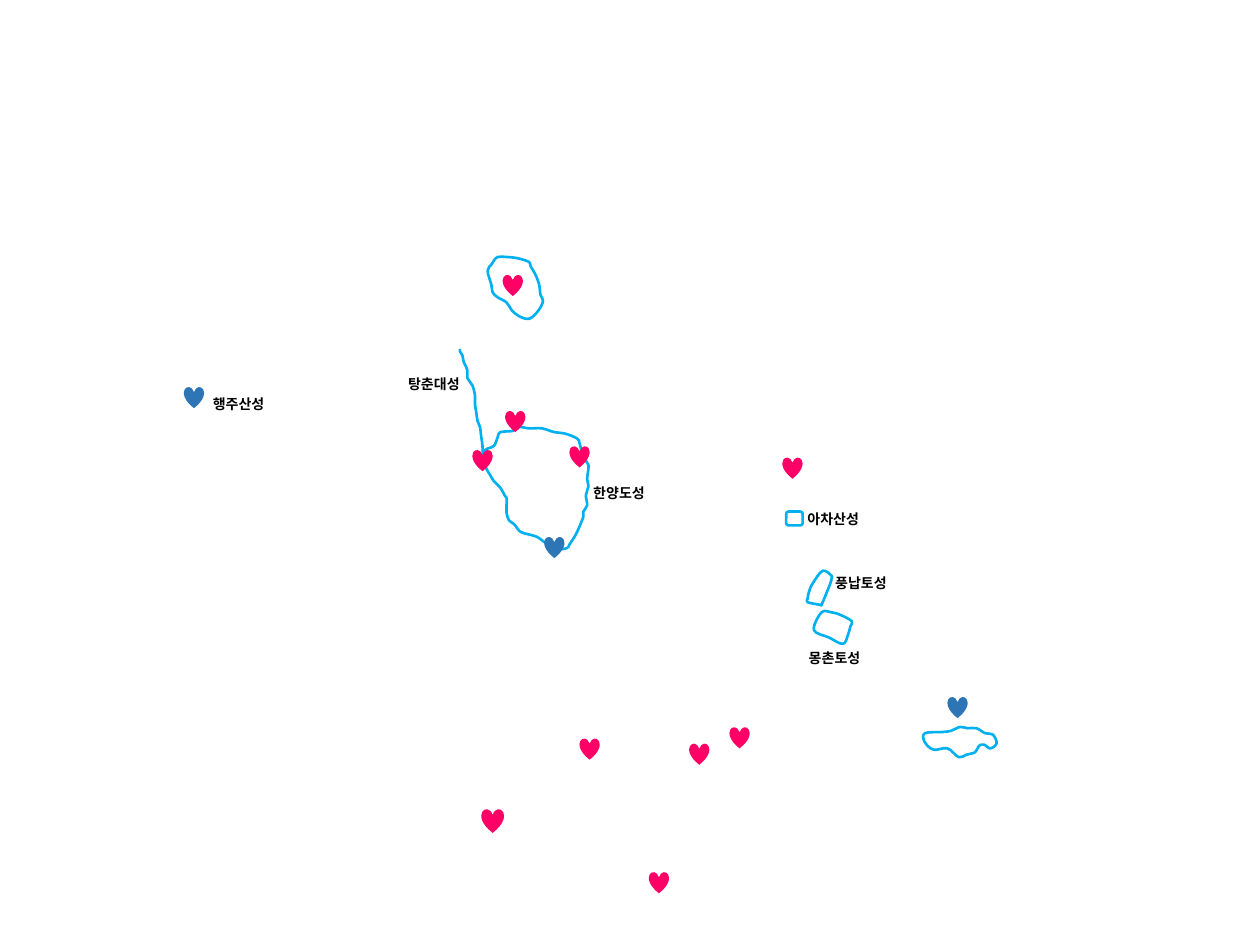
from lxml import etree
from pptx import Presentation
from pptx.dml.color import RGBColor
from pptx.enum.shapes import MSO_SHAPE
from pptx.enum.text import MSO_AUTO_SIZE
from pptx.oxml.ns import qn
from pptx.util import Inches, Pt

PINK, BLUE, WALL, INK = "FF0066", "2E75B6", "00B0F0", "000000"
FONT = "Calibri"

HANYANG = [
    (4.07, 3.42), (3.97, 3.43), (3.95, 3.47), (3.92, 3.54), (3.87, 3.56),
    (3.83, 3.6), (3.85, 3.69), (3.86, 3.72), (3.89, 3.77), (3.92, 3.82),
    (3.97, 3.87), (4.01, 3.94), (4.02, 3.95), (4.02, 4.02), (4.02, 4.07),
    (4.04, 4.13), (4.08, 4.16), (4.13, 4.22), (4.19, 4.24), (4.26, 4.26),
    (4.33, 4.31), (4.37, 4.34), (4.42, 4.36), (4.5, 4.35), (4.52, 4.32),
    (4.56, 4.26), (4.59, 4.2), (4.63, 4.1), (4.63, 4.06), (4.66, 4.01),
    (4.65, 3.93), (4.67, 3.86), (4.66, 3.8), (4.67, 3.69), (4.63, 3.63),
    (4.6, 3.52), (4.58, 3.48), (4.48, 3.44), (4.4, 3.43), (4.3, 3.4),
    (4.2, 3.4), (4.12, 3.39),
]
NORTH_FORTRESS = [
    (4.25, 2.18), (4.28, 2.26), (4.29, 2.34), (4.31, 2.39), (4.27, 2.47),
    (4.2, 2.53), (4.12, 2.51), (4.06, 2.46), (4.02, 2.4), (3.95, 2.36),
    (3.91, 2.32), (3.9, 2.26), (3.87, 2.15), (3.9, 2.1), (3.92, 2.07),
    (3.95, 2.04), (4.02, 2.04), (4.11, 2.05), (4.2, 2.08), (4.21, 2.11),
]
SOUTH_FORTRESS = [
    (7.67, 5.99), (7.74, 5.97), (7.77, 5.92), (7.81, 5.91), (7.86, 5.94),
    (7.91, 5.9), (7.88, 5.83), (7.82, 5.82), (7.75, 5.78), (7.68, 5.78),
    (7.62, 5.77), (7.55, 5.8), (7.48, 5.81), (7.34, 5.82), (7.34, 5.89),
    (7.41, 5.95), (7.52, 5.94), (7.61, 6.01),
]
TANGCHUNDAE = [
    (3.83, 3.64), (3.83, 3.54), (3.82, 3.47), (3.81, 3.39), (3.79, 3.34),
    (3.78, 3.27), (3.77, 3.21), (3.77, 3.14), (3.75, 3.06), (3.71, 3),
    (3.71, 2.94), (3.68, 2.87), (3.67, 2.82), (3.65, 2.79), (3.65, 2.77),
]
MONGCHON = [
    (6.52, 4.86), (6.46, 5), (6.58, 5.06), (6.69, 5.11), (6.73, 5.04),
    (6.75, 4.97), (6.76, 4.93), (6.67, 4.88), (6.6, 4.86),
]
PUNGNAP = [
    (6.53, 4.53), (6.45, 4.63), (6.42, 4.7), (6.41, 4.75), (6.41, 4.78),
    (6.51, 4.8), (6.52, 4.8), (6.55, 4.73), (6.59, 4.63), (6.6, 4.59),
    (6.6, 4.57),
]
CLOSED_WALLS = [HANYANG, NORTH_FORTRESS, SOUTH_FORTRESS, MONGCHON, PUNGNAP]

PINK_HEARTS = [
    (5.47, 5.9), (5.79, 5.77), (4.6, 5.86), (3.99, 2.18), (4.01, 3.26),
    (4.52, 3.54), (6.21, 3.63), (5.15, 6.92), (3.75, 3.57),
]
BLUE_HEARTS = [(7.52, 5.53), (1.46, 3.07), (4.32, 4.26)]
LABELS = [
    ("몽촌토성", 6.32, 5.11), ("풍납토성", 6.53, 4.51), ("아차산성", 6.31, 4),
    ("탕춘대성", 3.14, 2.93), ("한양도성", 4.61, 3.8), ("행주산성", 1.59, 3.09),
]


def rgb(hex_color):
    return RGBColor.from_string(hex_color)


def curve_points(points, closed):
    """Return two control points and an end point for each smooth segment."""
    if closed:
        pts = [points[-1], *points, *points[:2]]
    else:
        pts = [points[0], *points, points[-1]]
    curve = []
    for a, b, c, d in zip(pts, pts[1:], pts[2:], pts[3:]):
        curve.append(tuple(q + (r - p) / 6 for p, q, r in zip(a, b, c)))
        curve.append(tuple(r - (s - q) / 6 for q, r, s in zip(b, c, d)))
        curve.append(c)
    return curve


def bend_lines(s):
    """Turn every three line segments of a freeform into one Bezier curve."""
    path = s._element.find(".//" + qn("a:path"))
    lines = path.findall(qn("a:lnTo"))
    for i in range(0, len(lines), 3):
        bezier = etree.Element(qn("a:cubicBezTo"))
        lines[i].addprevious(bezier)
        for line in lines[i:i + 3]:
            bezier.append(line[0])
            path.remove(line)


def style_wall(s):
    s.shadow.inherit = False
    s.fill.background()
    s.line.color.rgb = rgb(WALL)
    s.line.width = Pt(1.5)


def add_wall(slide, points, closed=True):
    x, y = points[0]
    builder = slide.shapes.build_freeform(Inches(x), Inches(y))
    builder.add_line_segments(
        [(Inches(x), Inches(y)) for x, y in curve_points(points, closed)],
        close=closed)
    s = builder.convert_to_shape()
    bend_lines(s)
    style_wall(s)


def add_square_wall(slide, x, y, w, h):
    s = slide.shapes.add_shape(MSO_SHAPE.ROUNDED_RECTANGLE,
                               Inches(x), Inches(y), Inches(w), Inches(h))
    style_wall(s)


def add_heart(slide, x, y, color, w=0.16, h=0.17):
    s = slide.shapes.add_shape(MSO_SHAPE.HEART,
                               Inches(x), Inches(y), Inches(w), Inches(h))
    s.shadow.inherit = False
    s.fill.solid()
    s.fill.fore_color.rgb = rgb(color)
    s.line.fill.background()


def add_label(slide, text, x, y):
    tf = slide.shapes.add_textbox(Inches(x), Inches(y),
                                  Inches(0.65), Inches(0.24)).text_frame
    tf.word_wrap = False
    tf.auto_size = MSO_AUTO_SIZE.SHAPE_TO_FIT_TEXT
    r = tf.paragraphs[0].add_run()
    r.text = text
    r.font.name = FONT
    r.font.size = Pt(8)
    r.font.bold = True
    r.font.color.rgb = rgb(INK)


def main():
    prs = Presentation()
    prs.slide_width, prs.slide_height = Inches(10), Inches(7.5)
    slide = prs.slides.add_slide(prs.slide_layouts[6])

    for wall in CLOSED_WALLS:
        add_wall(slide, wall)
    add_wall(slide, TANGCHUNDAE, closed=False)
    add_square_wall(slide, 6.24, 4.06, 0.13, 0.11)

    add_heart(slide, 3.82, 6.42, PINK, 0.18, 0.19)
    for color, hearts in ((PINK, PINK_HEARTS), (BLUE, BLUE_HEARTS)):
        for x, y in hearts:
            add_heart(slide, x, y, color)
    for label in LABELS:
        add_label(slide, *label)

    prs.save("out.pptx")


if __name__ == "__main__":
    main()
